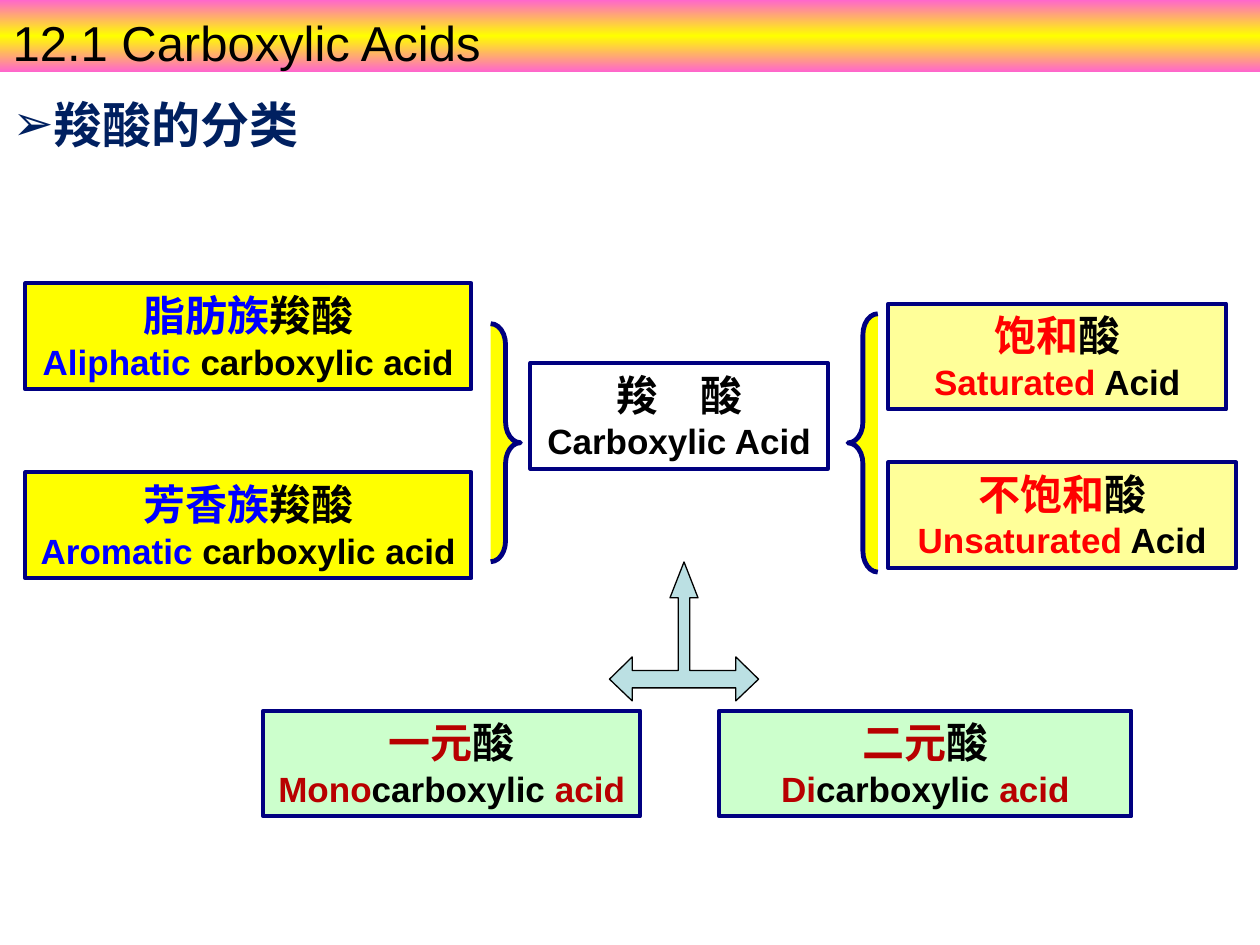
from copy import deepcopy
from dataclasses import dataclass
from lxml.etree import SubElement
from pptx import Presentation
from pptx.dml.color import RGBColor as Rgb
from pptx.enum.shapes import MSO_SHAPE as Kind
from pptx.enum.text import MSO_ANCHOR as Anchor, MSO_AUTO_SIZE as Fit, PP_ALIGN as Align
from pptx.oxml.ns import qn
from pptx.util import Pt


@dataclass(frozen=True)
class Theme:
    ink: str = "000000"
    navy: str = "002060"
    edge: str = "000080"
    pink: str = "FF66CC"
    sun: str = "FFFF00"
    cream: str = "FFFF99"
    mint: str = "CCFFCC"
    white: str = "FFFFFF"
    sky: str = "BBE0E3"
    blue: str = "0000FF"
    red: str = "FF0000"
    wine: str = "B80000"
    sans: str = "Arial"
    serif: str = "Times New Roman"
    head: int = 28
    large: int = 24
    small: int = 20


T = Theme()
CARD = 60.5
BRACE = 17


def write(para, text, *, size, color=T.ink, face=T.sans, bold=False):
    run = para.add_run()
    run.text = text
    font = run.font
    font.size, font.name, font.bold = Pt(size), face, bold
    font.color.rgb = Rgb.from_string(color)


def frame(shape, top=3.6):
    body = shape.text_frame
    body.word_wrap = True
    body.auto_size = Fit.NONE
    body.vertical_anchor = Anchor.TOP
    body.margin_left = body.margin_right = Pt(7.2)
    body.margin_top, body.margin_bottom = Pt(top), Pt(0)
    return body


def place(shape, box):
    shape.left, shape.top, shape.width, shape.height = map(Pt, box)


def paint(shape, fill, edge, width):
    shape.shadow.inherit = False
    shape.fill.solid()
    shape.fill.fore_color.rgb = Rgb.from_string(fill)
    shape.line.color.rgb = Rgb.from_string(edge)
    shape.line.width = Pt(width)


def title(slide, box):
    bar = slide.shapes.title
    place(bar, box)
    bar.fill.gradient()
    stops = bar.fill.gradient_stops
    for stop, tone in zip(stops, (T.pink, T.sun)):
        stop.color.rgb = Rgb.from_string(tone)
    rows = bar.element.spPr.find(".//" + qn("a:gsLst"))
    rows.append(deepcopy(rows[0]))
    for row, spot in zip(rows, (0, 50000, 100000)):
        row.set("pos", str(spot))
    bar.fill.gradient_angle = 90
    para = frame(bar, 7).paragraphs[0]
    para.alignment = Align.LEFT
    write(para, "12.1 Carboxylic Acids", size=T.head)


def topic(slide, box):
    item = slide.placeholders[1]
    place(item, box)
    para = frame(item).paragraphs[0]
    props = para._p.get_or_add_pPr()
    props.set("marL", "0")
    props.set("indent", "0")
    tone = SubElement(props, qn("a:buClr"))
    SubElement(tone, qn("a:srgbClr")).set("val", T.navy)
    SubElement(props, qn("a:buChar")).set("char", "➢")
    para.space_before = Pt(0)
    write(para, "羧酸的分类", size=T.head, color=T.navy, face=T.serif, bold=True)


def card(slide, box, lines, fill, key):
    shape = slide.shapes.add_shape(Kind.RECTANGLE, *map(Pt, box))
    paint(shape, fill, T.edge, 2.25)
    body = frame(shape)
    for row, (parts, size) in enumerate(zip(lines, (T.large, T.small))):
        para = body.add_paragraph() if row else body.paragraphs[0]
        para.alignment = Align.CENTER
        for spot, part in enumerate(parts):
            if part:
                tone = T.ink if spot % 2 else key
                write(para, part, size=size, color=tone, bold=True)


def brace(slide, box, kind):
    shape = slide.shapes.add_shape(kind, *map(Pt, box))
    paint(shape, T.sun, T.edge, 2.75)
    shape.adjustments[0] = 0.7


def stack(slide, box, cards, fill, key):
    x, y, _, high = box
    for top, (wide, lines) in zip((y, y + high - CARD), cards):
        card(slide, (x, top, wide, CARD), lines, fill, key)


def chain(slide, box):
    x, y, wide, high = box
    stack(slide, box, (
        (255, (("脂肪族", "羧酸"), ("Aliphatic ", "carboxylic acid"))),
        (255, (("芳香族", "羧酸"), ("Aromatic ", "carboxylic acid"))),
    ), T.sun, T.blue)
    brace(slide, (x + wide - BRACE, y + 23, BRACE, 136), Kind.RIGHT_BRACE)


def bond(slide, box):
    x, y, wide, high = box
    stack(slide, (x + 23, y, wide - 23, high), (
        (193, (("饱和", "酸"), ("Saturated", " Acid"))),
        (198.7, (("不饱和", "酸"), ("Unsaturated", " Acid"))),
    ), T.cream, T.red)
    brace(slide, (x, y + 5.8, BRACE, 147.6), Kind.LEFT_BRACE)


def arrow(slide, x, y):
    half = [(8, 20.5), (3.3, 20.5), (3.3, 62), (29.6, 62), (29.6, 54.3),
            (42.6, 67), (29.6, 79.4), (29.6, 72)]
    left = [(-dx, dy) for dx, dy in reversed(half)]
    dots = [(Pt(x + dx), Pt(y + dy)) for dx, dy in half + left]
    pen = slide.shapes.build_freeform(Pt(x), Pt(y))
    pen.add_line_segments(dots, close=True)
    paint(pen.convert_to_shape(), T.sky, T.ink, 0.75)


def count(slide, box):
    x, y, wide, high = box
    top = y + high - CARD
    arrow(slide, x + 240.4, y)
    card(slide, (x, top, 215.3, CARD),
         (("一元", "酸"), ("Mono", "carboxylic", " acid")), T.mint, T.wine)
    card(slide, (x + wide - 235.4, top, 235.4, CARD),
         (("二元", "酸"), ("Di", "carboxylic", " acid")), T.mint, T.wine)


def main():
    deck = Presentation()
    deck.slide_width, deck.slide_height = Pt(720), Pt(540)
    slide = deck.slides.add_slide(deck.slide_layouts[1])
    title(slide, (0, 0, 720, 41))
    topic(slide, (0, 50.4, 652, 41))
    card(slide, (303.1, 207.4, 170, CARD),
         (("", "羧　酸"), ("", "Carboxylic Acid")), T.white, T.ink)
    chain(slide, (14.4, 162, 283, 168.5))
    bond(slide, (484.6, 173.5, 221.7, 151.2))
    count(slide, (150.5, 321.1, 496, 145.5))
    deck.save("out.pptx")


if __name__ == "__main__":
    main()
